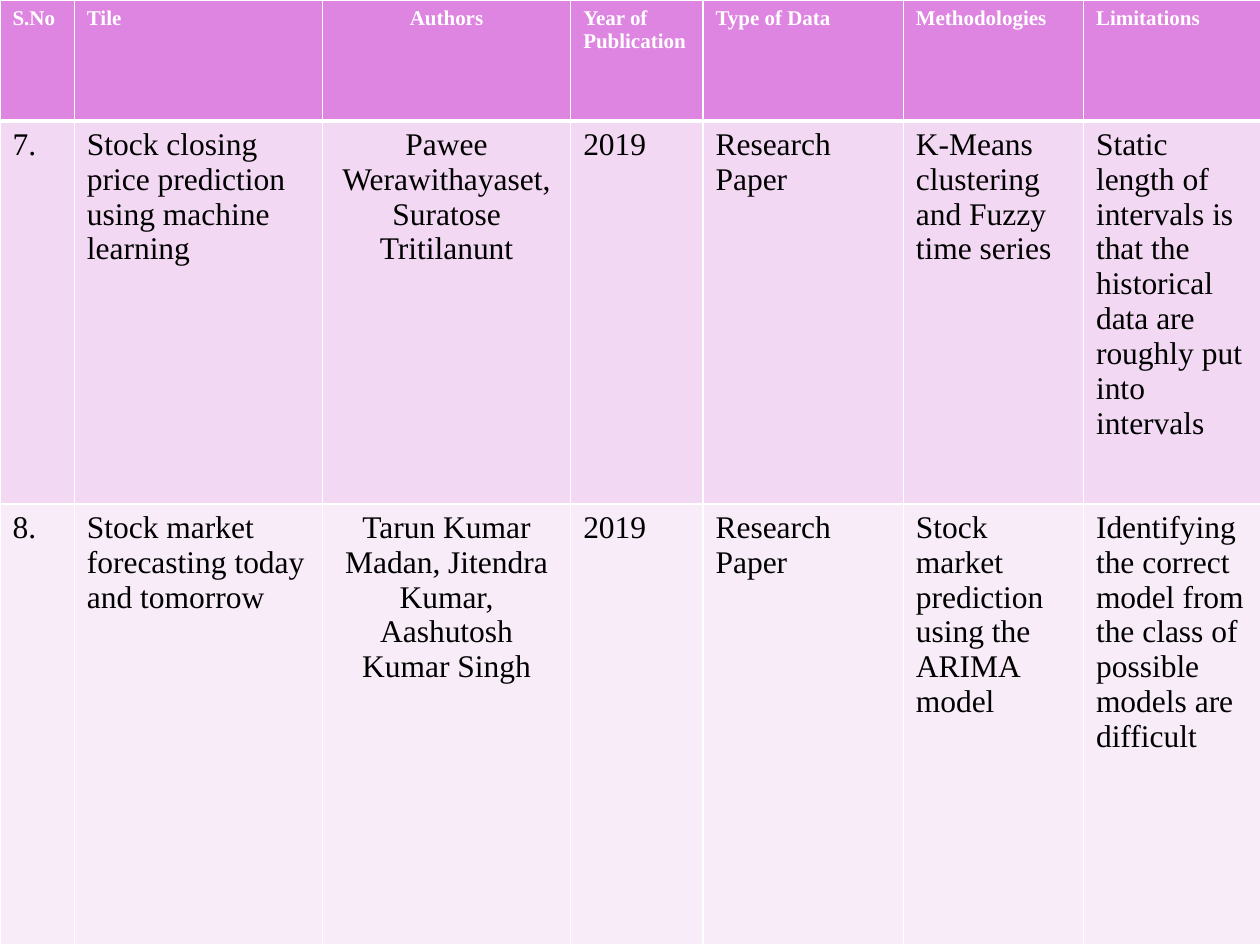
from dataclasses import dataclass

import pptx
import pptx.dml.color
import pptx.enum.text
import pptx.oxml.ns
import pptx.util
from lxml import etree

Inches = pptx.util.Inches
Pt = pptx.util.Pt
ALIGN = pptx.enum.text.PP_ALIGN

COLORS = {
    "white": "FFFFFF", "black": "000000", "header": "DE85E1",
    "band_dark": "F2D8F3", "band_light": "F8ECF9",
    "sky_top": "E9C8EE", "sky_bottom": "88AEDB",
}
FONT = "Times New Roman"
COL_WIDTHS = [0.59, 1.97, 1.97, 1.05, 1.59, 1.43, 1.43]
AUTHORS_COL = 2
THIN, THICK = 0.96, 3


@dataclass
class Row:
    """Content and look of one table row."""
    height: float
    fill: str
    texts: list[str]
    size: int = 18
    color: str = "black"
    bold: bool = False
    bottom: float = THIN
    top: float = THIN


ROWS = [
    Row(0.96, "header",
        ["S.No", "Tile", "Authors", "Year of Publication", "Type of Data",
         "Methodologies", "Limitations"],
        size=12, color="white", bold=True, bottom=THICK),
    Row(3.04, "band_dark",
        ["7.", "Stock closing price prediction using machine\nlearning",
         "Pawee Werawithayaset, Suratose Tritilanunt", "2019",
         "Research Paper", "K-Means clustering and Fuzzy time series",
         "Static length of intervals is that the historical data are "
         "roughly put into intervals"],
        top=THICK),
    Row(3.5, "band_light",
        ["8.", "Stock market forecasting today and tomorrow",
         "Tarun Kumar Madan, Jitendra Kumar, Aashutosh Kumar Singh", "2019",
         "Research Paper", "Stock market prediction using the ARIMA model",
         "Identifying the correct model from the class of possible models "
         "are difficult"]),
]


def rgb(name: str) -> pptx.dml.color.RGBColor:
    """Look up a named colour."""
    return pptx.dml.color.RGBColor.from_string(COLORS[name])


def set_borders(cell, top: float, bottom: float) -> None:
    """Give a cell white borders, placed before its fill."""
    qn = pptx.oxml.ns.qn
    tc_pr = cell._tc.get_or_add_tcPr()
    widths = {"lnL": THIN, "lnR": THIN, "lnT": top, "lnB": bottom}
    for i, (tag, width) in enumerate(widths.items()):
        ln = etree.Element(qn(f"a:{tag}"), w=str(int(Pt(width))))
        fill = etree.SubElement(ln, qn("a:solidFill"))
        etree.SubElement(fill, qn("a:srgbClr"), val=COLORS["white"])
        tc_pr.insert(i, ln)


def fill_cell(cell, text: str, row: Row, align) -> None:
    """Write and style one cell."""
    cell.fill.solid()
    cell.fill.fore_color.rgb = rgb(row.fill)
    set_borders(cell, row.top, row.bottom)
    tf = cell.text_frame
    tf.text = text
    for p in tf.paragraphs:
        p.alignment = align
        p.font.name = FONT
        p.font.size = Pt(row.size)
        p.font.bold = row.bold
        p.font.color.rgb = rgb(row.color)


def set_background(slide) -> None:
    """Paint a top-to-bottom gradient behind the table."""
    fill = slide.background.fill
    fill.gradient()
    fill.gradient_angle = 270
    for stop, name in zip(fill.gradient_stops, ("sky_top", "sky_bottom")):
        stop.color.rgb = rgb(name)


def add_survey_table(slide) -> None:
    """Add the literature survey table."""
    table = slide.shapes.add_table(
        len(ROWS), len(COL_WIDTHS), Inches(0), Inches(0),
        Inches(sum(COL_WIDTHS)), Inches(sum(r.height for r in ROWS))).table
    for col, width in zip(table.columns, COL_WIDTHS):
        col.width = Inches(width)
    for r, row in enumerate(ROWS):
        table.rows[r].height = Inches(row.height)
        for c, text in enumerate(row.texts):
            align = ALIGN.CENTER if c == AUTHORS_COL else ALIGN.LEFT
            fill_cell(table.cell(r, c), text, row, align)


prs = pptx.Presentation()
prs.slide_width, prs.slide_height = Inches(10), Inches(7.5)
slide = prs.slides.add_slide(prs.slide_layouts[6])
set_background(slide)
add_survey_table(slide)
prs.save("out.pptx")
